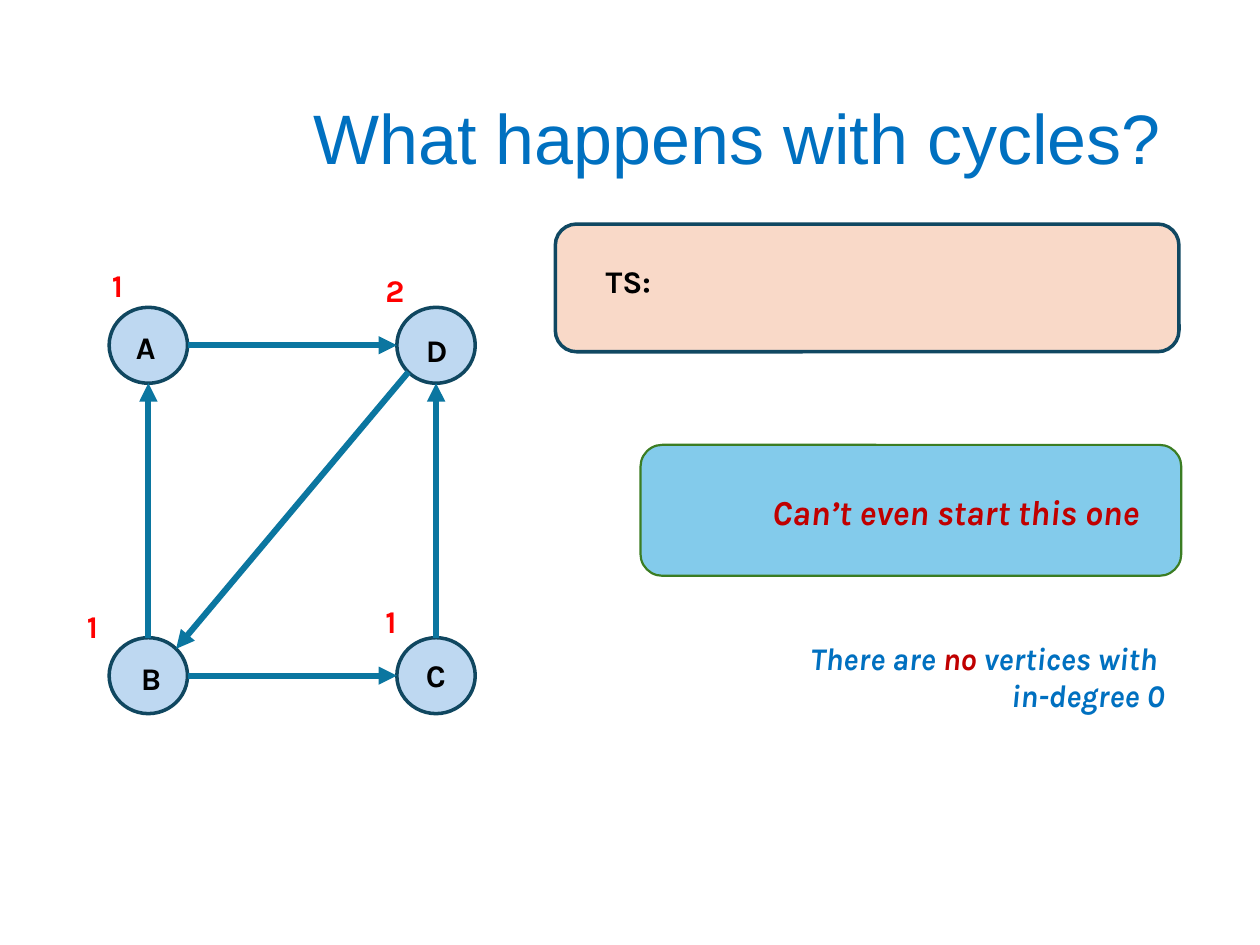
import math
from dataclasses import dataclass

import pptx
import pptx.dml.color
import pptx.enum.shapes
import pptx.enum.text
import pptx.oxml.ns
import pptx.util
from lxml import etree

Pt = pptx.util.Pt
Kind = pptx.enum.shapes.MSO_SHAPE
Align = pptx.enum.text.PP_ALIGN
qn = pptx.oxml.ns.qn


@dataclass(frozen=True)
class Theme:
    head_font: str = "Arial"
    font: str = "Karla"
    head: int = 40
    large: int = 20
    body: int = 18
    blue: str = "0070C0"
    dark: str = "C00000"
    red: str = "FF0000"
    black: str = "000000"
    peach: str = "F2AA84"
    navy: str = "104862"
    sky: str = "83CBEB"
    green: str = "3B7D23"
    node: str = "71AAE0"
    rim: str = "104760"
    edge: str = "0B76A0"


def rgb(code):
    return pptx.dml.color.RGBColor.from_string(code)


class Board:
    def __init__(self, slide, theme):
        self.slide = slide
        self.theme = theme

    def shape(self, kind, box, fill, line, width, alpha=None):
        item = self.slide.shapes.add_shape(kind, *map(Pt, box))
        item.shadow.inherit = False
        item.fill.solid()
        item.fill.fore_color.rgb = rgb(fill)
        item.line.color.rgb = rgb(line)
        item.line.width = Pt(width)
        if alpha is not None:
            tint = item.fill._xPr.find(f"{qn('a:solidFill')}/{qn('a:srgbClr')}")
            etree.SubElement(tint, qn("a:alpha"), val=str(alpha * 1000))

    def text(self, box, rows, size, font=None, bold=True, slant=False,
             align=Align.LEFT, after=0, pitch=None, middle=False):
        """Each row is a list of (words, colour) pairs."""
        frame = self.slide.shapes.add_textbox(*map(Pt, box)).text_frame
        frame.word_wrap = True
        if middle:
            frame.vertical_anchor = pptx.enum.text.MSO_ANCHOR.MIDDLE
        for i, row in enumerate(rows):
            para = frame.add_paragraph() if i else frame.paragraphs[0]
            para.alignment = align
            para.space_after = Pt(after)
            if pitch:
                para.line_spacing = pitch
            para.font.name = font or self.theme.font
            para.font.size = Pt(size)
            para.font.bold = bold
            para.font.italic = slant
            for words, tint in row:
                run = para.add_run()
                run.text = words
                run.font.color.rgb = rgb(tint)

    def arrow(self, start, end):
        link = self.slide.shapes.add_connector(
            pptx.enum.shapes.MSO_CONNECTOR.STRAIGHT, *map(Pt, start + end))
        link.line.color.rgb = rgb(self.theme.edge)
        link.line.width = Pt(3.5)
        etree.SubElement(link.line._get_or_add_ln(), qn("a:tailEnd"),
                         type="triangle")
        etree.SubElement(link._element.spPr, qn("a:effectLst"))


def main():
    deck = pptx.Presentation()
    deck.slide_width, deck.slide_height = Pt(720), Pt(540)
    theme = Theme()
    board = Board(deck.slides.add_slide(deck.slide_layouts[6]), theme)

    # Title
    board.text((49.7, 28.8, 620.6, 104.4),
               [[("What happens with cycles?", theme.blue)]], theme.head,
               font=theme.head_font, bold=False, align=Align.RIGHT,
               pitch=0.9, middle=True)

    # Sort result
    board.shape(Kind.ROUNDED_RECTANGLE, (317.3, 128, 356.4, 73),
                theme.peach, theme.navy, 2, alpha=44)
    board.text((339, 146.2, 42, 29), [[("TS:", theme.black)]], theme.body)

    # Verdict and reason
    board.text((412.6, 361.4, 260, 51),
               [[("There are ", theme.blue), ("no ", theme.dark),
                 ("vertices with ", theme.blue)],
                [("in-degree 0", theme.blue)]],
               theme.body, slant=True, align=Align.RIGHT)
    board.shape(Kind.ROUNDED_RECTANGLE, (366, 254.2, 309, 74.8),
                theme.sky, theme.green, 1.25)
    board.text((382.3, 276.5, 275.8, 31.5),
               [[("Can’t even start this one", theme.dark)]],
               theme.large, slant=True, align=Align.RIGHT)

    # Graph: centre of each node, left top of its name, degree and its left top
    wide, high = 44.8, 43.4
    left, right, top, low = 84.8, 249.2, 197.3, 386.1
    nodes = {
        "A": ((left, top), (70.6, 183.6), "1", (56.9, 148.3)),
        "B": ((left, low), (73.4, 373), "1", (42.5, 343.4)),
        "C": ((right, low), (236.2, 371.5), "1", (213.1, 340.6)),
        "D": ((right, top), (236.2, 185.8), "2", (213.1, 151.2)),
    }

    def rim(name, angle):
        """Point on a node's outline, clockwise from the right."""
        (x, y), turn = nodes[name][0], math.radians(angle)
        return (x + wide / 2 * math.cos(turn), y + high / 2 * math.sin(turn))

    for (x, y), *_ in nodes.values():
        board.shape(Kind.OVAL, (x - wide / 2, y - high / 2, wide, high),
                    theme.node, theme.rim, 2, alpha=45)

    edges = [("B", "C", 0), ("B", "A", 270), ("C", "D", 270),
             ("D", "B", 135), ("A", "D", 0)]
    for start, end, angle in edges:
        board.arrow(rim(start, angle), rim(end, angle + 180))

    for name, (_, spot, degree, mark) in nodes.items():
        for words, place, tint in ((name, spot, theme.black),
                                   (degree, mark, theme.red)):
            board.text((*place, 34, 29), [[(words, tint)]], theme.body, after=6)

    deck.save("out.pptx")


if __name__ == "__main__":
    main()
